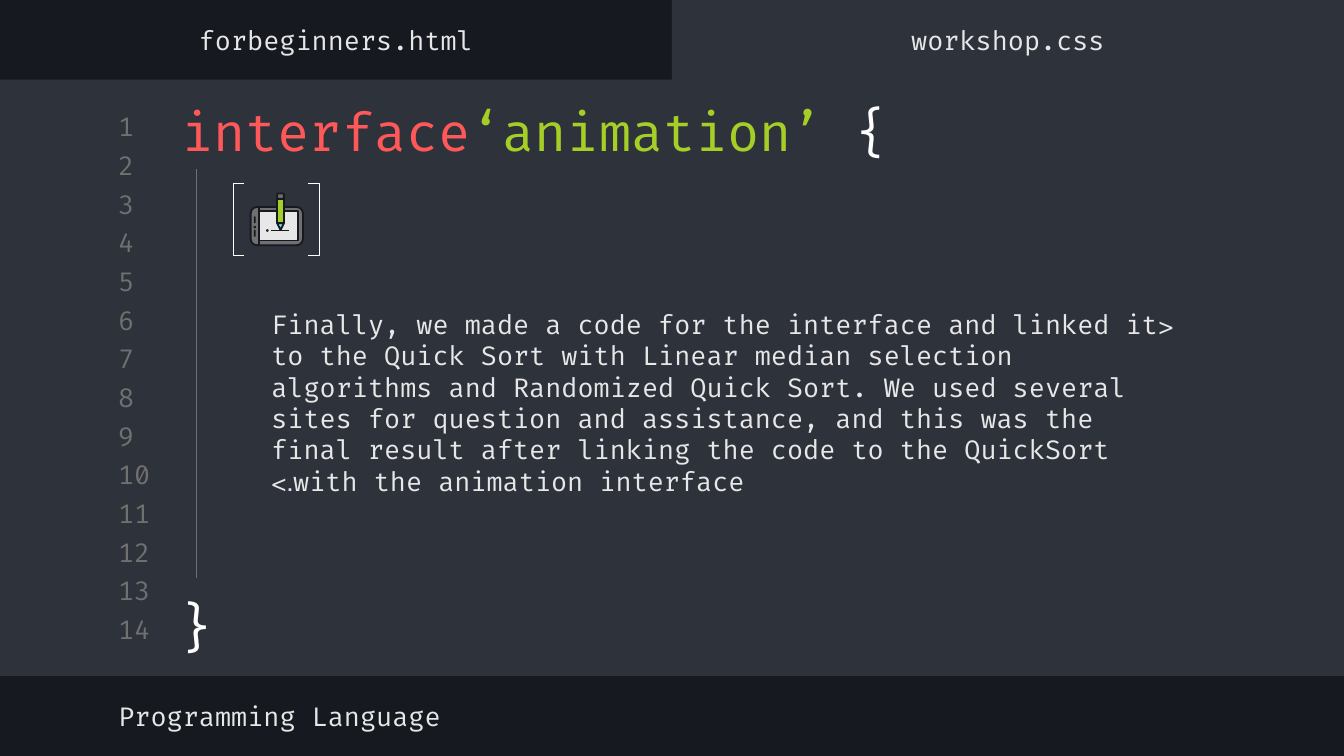
from pptx import Presentation
from pptx.dml.color import RGBColor
from pptx.enum import shapes, text
from pptx.oxml import ns, xmlchemy
from pptx.util import Pt

FONT = "Fira Code"
DARK, PANEL, GREY, LIGHT = "16191F", "2E323B", "707070", "E7E7E7"
RED, GREEN, BLUE, WHITE = "FF5858", "A5CF27", "72D9F0", "FFFFFF"
KIND = shapes.MSO_SHAPE
LEFT, CENTER = text.PP_ALIGN.LEFT, text.PP_ALIGN.CENTER
TOP, MIDDLE = text.MSO_ANCHOR.TOP, text.MSO_ANCHOR.MIDDLE


def color(value):
    return RGBColor.from_string(value)


def place(shape, box):
    shape.left, shape.top, shape.width, shape.height = map(Pt, box)


def write(shape, runs, size=14, align=LEFT, anchor=MIDDLE):
    """Fill a text shape with one paragraph of (words, colour) runs."""
    frame = shape.text_frame
    frame.word_wrap = True
    frame.auto_size = text.MSO_AUTO_SIZE.NONE
    frame.vertical_anchor = anchor
    frame.margin_left = frame.margin_right = Pt(7.2)
    frame.margin_top = frame.margin_bottom = Pt(7.2)
    paragraph = frame.paragraphs[0]
    paragraph.alignment = align
    paragraph.space_before = Pt(0)
    for words, value in runs:
        run = paragraph.add_run()
        run.text = words
        run.font.name = FONT
        run.font.size = Pt(size)
        run.font.bold = False
        run.font.color.rgb = color(value)
    return paragraph


def add_text(slide, box, runs, **style):
    return write(slide.shapes.add_textbox(*map(Pt, box)), runs, **style)


def fill_placeholder(slide, index, box, runs, **style):
    """Move a placeholder in front of the panels, then format and fill it."""
    shape = next(s for s in slide.placeholders if s.placeholder_format.idx == index)
    slide.shapes._spTree.append(shape._element)
    place(shape, box)
    paragraph = write(shape, runs, **style)
    properties = paragraph._p.get_or_add_pPr()
    properties.set("marL", "0")
    properties.set("indent", "0")
    properties.append(xmlchemy.OxmlElement("a:buNone"))
    return paragraph


def add_shape(slide, kind, box, fill=None, line=None, width=0.75):
    shape = slide.shapes.add_shape(kind, *map(Pt, box))
    shape.shadow.inherit = False
    if fill:
        shape.fill.solid()
        shape.fill.fore_color.rgb = color(fill)
    else:
        shape.fill.background()
    if line:
        shape.line.color.rgb = color(line)
        shape.line.width = Pt(width)
    else:
        shape.line.fill.background()
    return shape


def add_line(slide, start, end, value, width=0.75):
    line = slide.shapes.add_connector(
        shapes.MSO_CONNECTOR.STRAIGHT, *map(Pt, (*start, *end)))
    line.line.color.rgb = color(value)
    line.line.width = Pt(width)
    line._element.find(ns.qn("p:spPr")).append(xmlchemy.OxmlElement("a:effectLst"))


def add_line_numbers(slide, box, count):
    left, top, width, height = box
    row_height = 17.28
    pitch = (height - row_height) / (count - 1)
    for row in range(count):
        add_text(slide, (left, top + row * pitch, width, row_height),
                 [(str(row + 1), GREY)])


def add_tabs(slide, box):
    left, top, width, height = box
    names = {1: "forbeginners.html", 2: "workshop.css"}
    tab_width = width / len(names)
    for number, (index, name) in enumerate(names.items()):
        fill_placeholder(slide, index, (left + number * tab_width, top, tab_width, height),
                         [(name, LIGHT)], align=CENTER)


def add_code_block(slide, box):
    left, top, width, height = box
    # Opening line
    fill_placeholder(slide, 0, (left, top, width, 42.5),
                     [("interface", RED), ("‘animation’ ", GREEN), ("{", WHITE)],
                     size=28, anchor=TOP)
    # Closing brace and guide line
    add_text(slide, (left - 4.3, top + height - 48, 39.6, 48), [("}", WHITE)],
             size=28, align=CENTER, anchor=TOP)
    add_line(slide, (left + 15.3, top + 44.5), (left + 15.3, top + height - 49.5), GREY)
    # Right-to-left body text, set flush left
    paragraph = fill_placeholder(slide, 3, (left + 48.2, top + 67, 513.4, 205.2), [(
        "<Finally, we made a code for the interface and linked it to the Quick Sort "
        "with Linear median selection algorithms and Randomized Quick Sort. We used "
        "several sites for question and assistance, and this was the final result "
        "after linking the code to the QuickSort with the animation interface.>", LIGHT)])
    properties = paragraph._p.get_or_add_pPr()
    properties.set("rtl", "1")
    properties.set("marL", str(Pt(36)))
    properties.set("indent", str(Pt(-25.2)))


def add_tablet_icon(slide, box):
    left, top, width, height = box

    def part(kind, x, y, w, h, fill, line=DARK):
        return add_shape(slide, kind, (left + x, top + y, w, h), fill, line, 1)

    # Tablet and screen
    part(KIND.ROUNDED_RECTANGLE, 0.4, 7.9, width - 0.8, height - 8.3, GREY)
    part(KIND.RECTANGLE, 5, 10.1, 20.9, 15.8, LIGHT)
    add_line(slide, (left + 4.9, top + 8), (left + 4.9, top + 28), DARK, 1)
    # Pen
    part(KIND.FLOWCHART_MERGE, 14.6, 16.6, 3.6, 3.6, BLUE)
    part(KIND.RECTANGLE, 14.6, 3.6, 3.6, 13, GREEN)
    part(KIND.ROUND_2_SAME_RECTANGLE, 14.6, 0.7, 3.6, 2.9, GREY)
    # Drawn stroke, buttons and dots
    add_line(slide, (left + 11.5, top + 20.5), (left + 21.2, top + 20.5), DARK, 1)
    for y in (13, 20.2):
        part(KIND.ROUNDED_RECTANGLE, 2.1, y, 1, 3.6, DARK, None)
    for x, y in ((8.6, 19.8), (1.9, 18)):
        part(KIND.OVAL, x, y, 1.4, 1.4, DARK, None)


def add_brackets(slide, box):
    left, top, width, height = box
    arm = 5.8
    for kind, x in ((KIND.LEFT_BRACKET, left), (KIND.RIGHT_BRACKET, left + width - arm)):
        bracket = add_shape(slide, kind, (x, top, arm, height), line=WHITE)
        bracket.adjustments[0] = 0


def build_code_slide(presentation):
    slide = presentation.slides.add_slide(presentation.slide_layouts[4])
    slide.background.fill.solid()
    slide.background.fill.fore_color.rgb = color(DARK)
    # Editor panel and active tab
    add_shape(slide, KIND.RECTANGLE, (0, 42.7, 720, 319.5), PANEL)
    add_shape(slide, KIND.RECTANGLE, (360, 0, 360, 50), PANEL)
    add_line_numbers(slide, (56.2, 59, 33.8, 286.6), 14)
    add_tabs(slide, (0, 7.5, 720, 28))
    add_code_block(slide, (90, 46, 574, 313))
    add_brackets(slide, (125, 98.4, 46, 38.4))
    add_tablet_icon(slide, (133.9, 103, 28.8, 28.8))
    # Footer
    fill_placeholder(slide, 4, (56.2, 369.5, 383, 28), [("Programming Language", LIGHT)])


def main():
    presentation = Presentation()
    presentation.slide_width, presentation.slide_height = Pt(720), Pt(405)
    build_code_slide(presentation)
    presentation.save("out.pptx")


if __name__ == "__main__":
    main()
